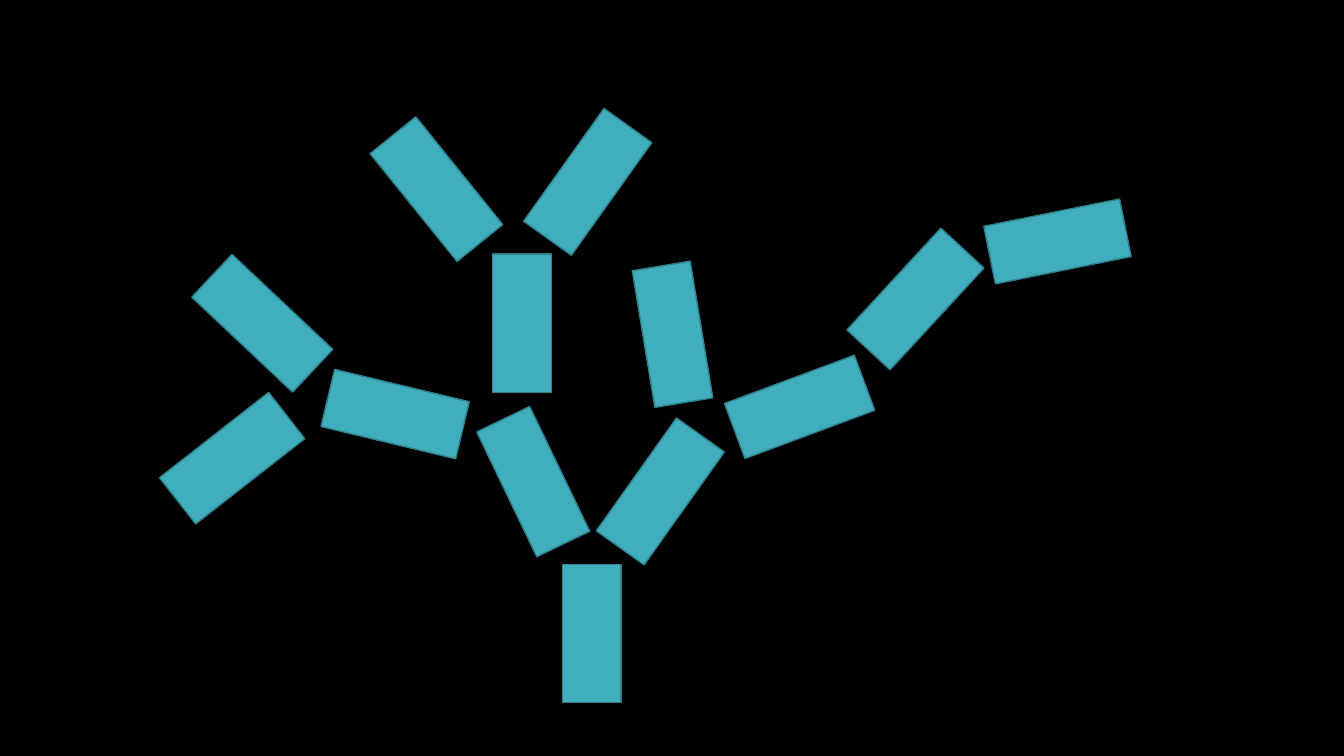
from pptx import Presentation
from pptx.dml.color import RGBColor
from pptx.enum.shapes import MSO_SHAPE as Shape
from pptx.util import Cm, Pt

BLACK = RGBColor(0x00, 0x00, 0x00)
TEAL = RGBColor(0x41, 0xAE, 0xBD)
DARK_TEAL = RGBColor(0x30, 0x81, 0x8C)

BLANK_LAYOUT = 6
SEGMENT_WIDTH, SEGMENT_LENGTH = Cm(1.48), Cm(3.49)
OUTLINE = {"width": Pt(1)}

# Left and top in cm before rotation, then clockwise rotation in degrees
TRUNK = [(14.17, 14.22, 0)]
RIGHT_BRANCH = [
    (15.9, 10.64, 35.4),
    (19.41, 8.51, 69.6),
    (16.21, 6.68, 350.6),
    (22.33, 5.79, 42.7),
    (25.91, 4.34, 78.6),
]
LEFT_BRANCH = [
    (12.7, 10.39, 334.3),
    (9.22, 8.69, 283.5),
    (12.42, 6.4, 0),
    (5.87, 6.4, 313.3),
    (5.11, 9.8, 232),
    (10.26, 3.02, 321.1),
    (14.07, 2.84, 35.5),
]


def paint_background(slide, color):
    fill = slide.background.fill
    fill.solid()
    fill.fore_color.rgb = color


def add_segment(slide, left, top, rotation):
    segment = slide.shapes.add_shape(
        Shape.RECTANGLE, Cm(left), Cm(top), SEGMENT_WIDTH, SEGMENT_LENGTH
    )
    segment.rotation = rotation
    segment.shadow.inherit = False
    segment.fill.solid()
    segment.fill.fore_color.rgb = TEAL
    segment.line.color.rgb = DARK_TEAL
    for attribute, value in OUTLINE.items():
        setattr(segment.line, attribute, value)


def main():
    deck = Presentation()
    deck.slide_width, deck.slide_height = Cm(33.87), Cm(19.05)
    slide = deck.slides.add_slide(deck.slide_layouts[BLANK_LAYOUT])
    paint_background(slide, BLACK)
    for left, top, rotation in TRUNK + RIGHT_BRANCH + LEFT_BRANCH:
        add_segment(slide, left, top, rotation)
    deck.save("out.pptx")


if __name__ == "__main__":
    main()
